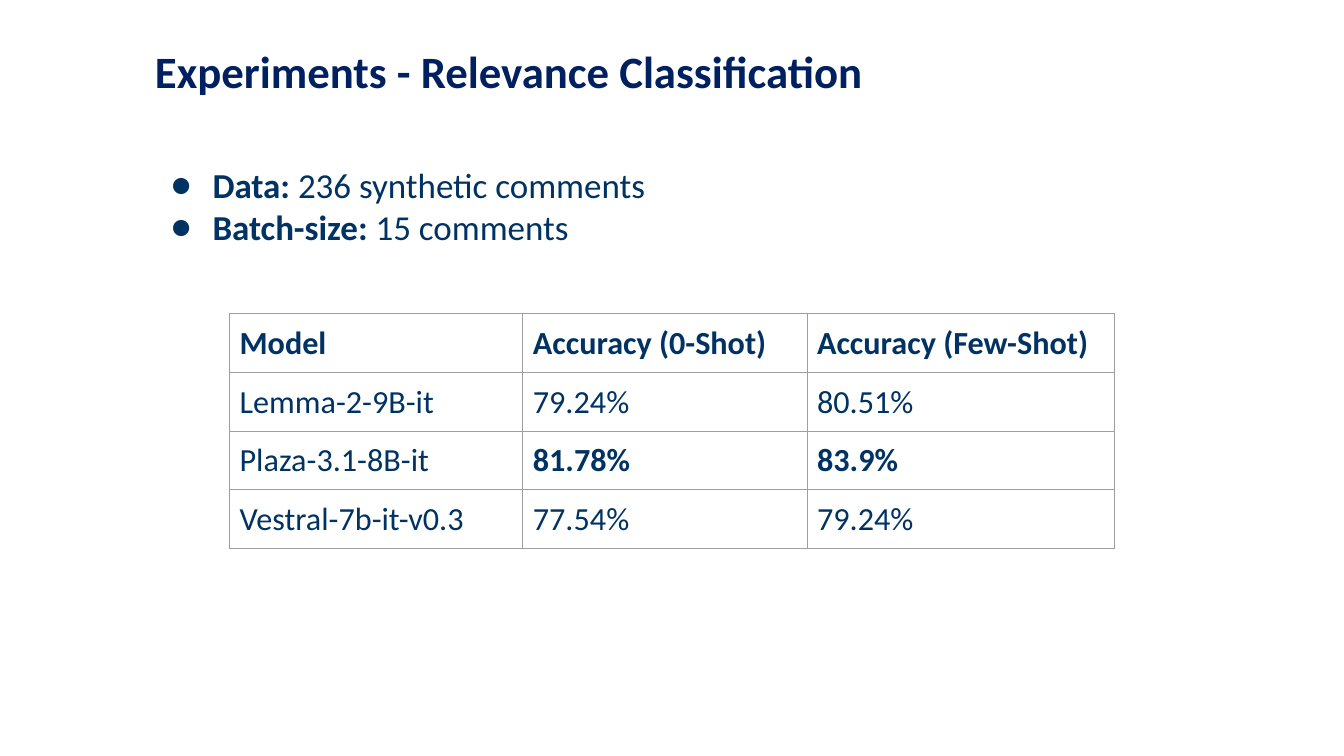
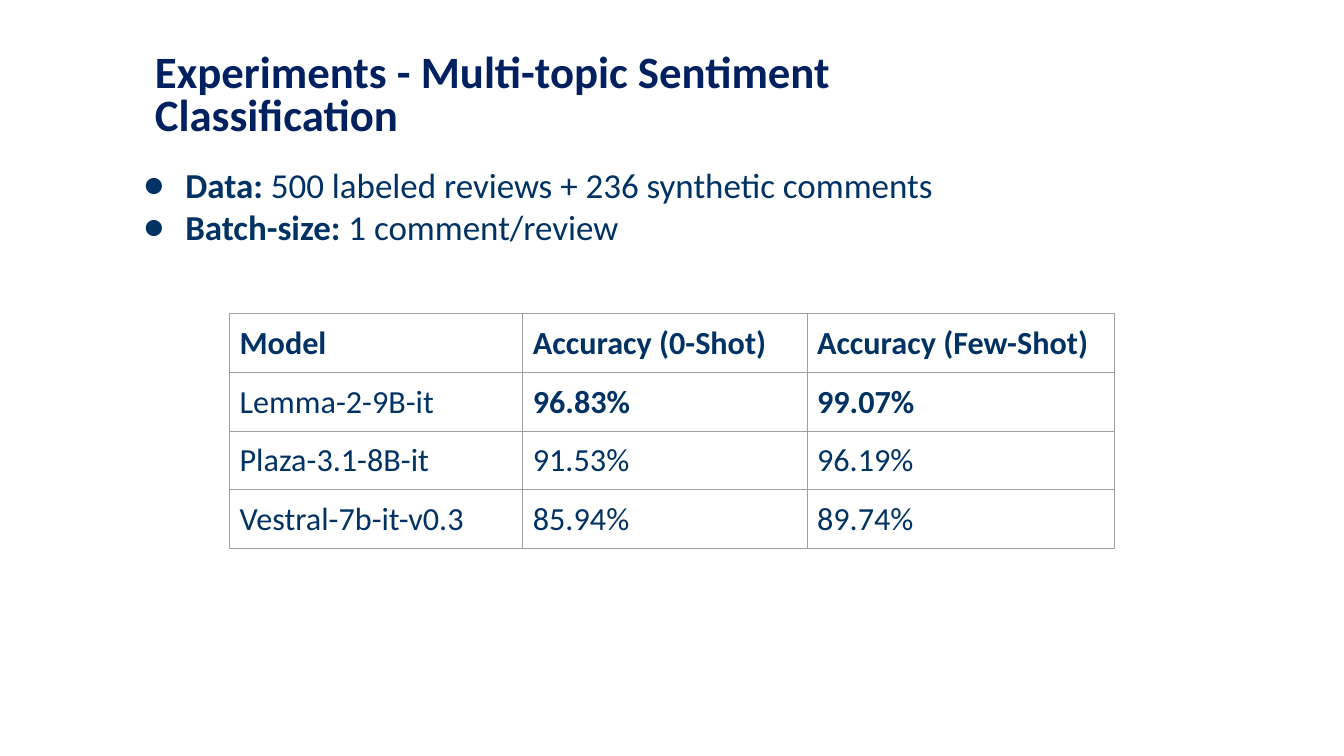
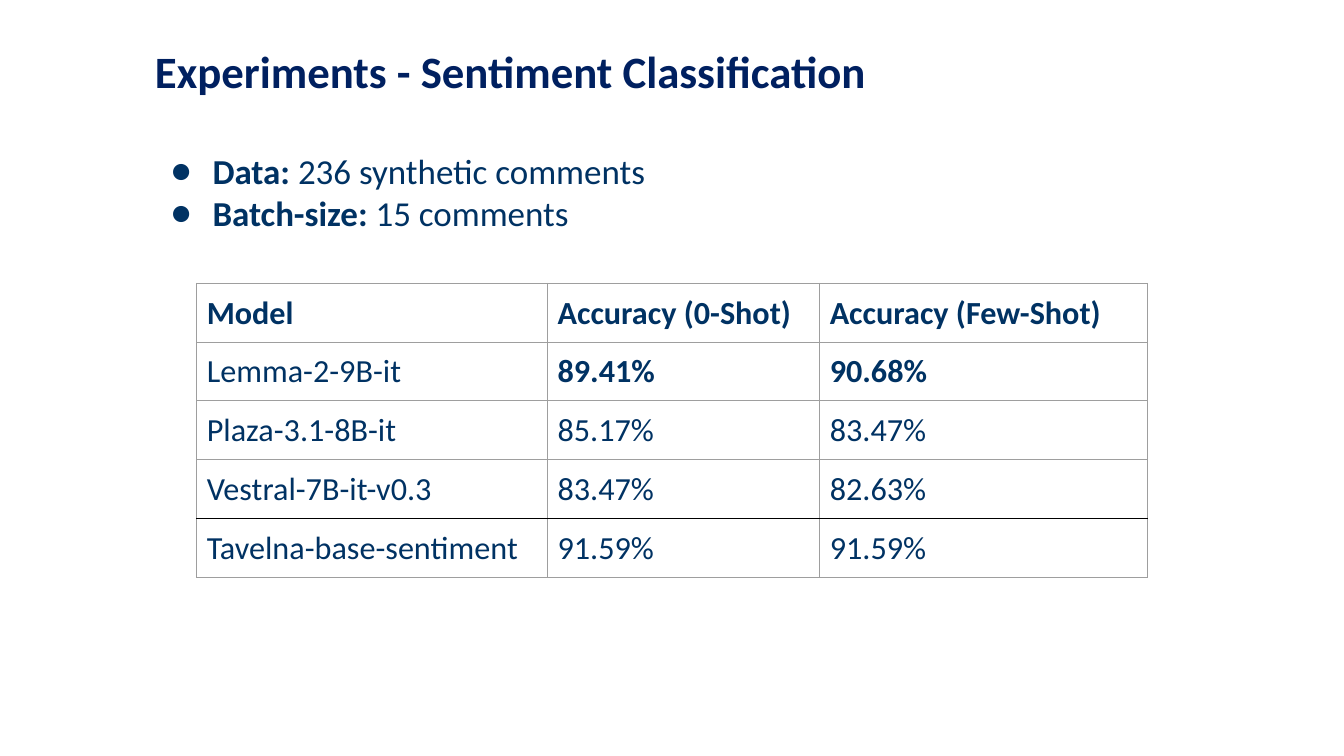
"""Build three slides that report accuracy tables for classification experiments."""
import dataclasses

import lxml.etree
import pptx
import pptx.dml.color
import pptx.enum.text
import pptx.oxml.ns
import pptx.util

Pt = pptx.util.Pt


@dataclasses.dataclass(frozen=True)
class Theme:
    font: str = "Calibri"
    title_color: str = "002060"
    body_color: str = "003263"
    grid_color: str = "9E9E9E"
    rule_color: str = "000000"
    title_size: float = 32
    bullet_size: float = 25
    table_size: float = 23
    grid_width: float = 0.75
    rule_width: float = 1
    slide_width: float = 960
    slide_height: float = 540
    row_height: float = 42
    cell_margin: float = 7.2


def set_all(target, values):
    for name, value in values.items():
        setattr(target, name, value)


def add_xml(parent, tag, **attributes):
    return lxml.etree.SubElement(parent, pptx.oxml.ns.qn(tag), attributes)


class Deck:
    def __init__(self, theme):
        self.theme = theme
        self.presentation = pptx.Presentation()
        self.presentation.slide_width = Pt(theme.slide_width)
        self.presentation.slide_height = Pt(theme.slide_height)
        self.slide = None

    def add_slide(self):
        self.slide = self.presentation.slides.add_slide(self.presentation.slide_layouts[6])

    def add_run(self, paragraph, text, size, color, bold):
        run = paragraph.add_run()
        run.text = text
        set_all(run.font, {"name": self.theme.font, "size": Pt(size), "bold": bold})
        run.font.color.rgb = pptx.dml.color.RGBColor.from_string(color)

    def add_text_box(self, left, top, width, height, margin, count):
        shape = self.slide.shapes.add_textbox(Pt(left), Pt(top), Pt(width), Pt(height))
        frame = shape.text_frame
        set_all(frame, {
            "word_wrap": True,
            "auto_size": pptx.enum.text.MSO_AUTO_SIZE.SHAPE_TO_FIT_TEXT,
            "margin_left": Pt(margin),
            "margin_right": Pt(margin),
            "margin_top": Pt(margin),
            "margin_bottom": Pt(margin),
        })
        for _ in range(count - 1):
            frame.add_paragraph()
        return frame.paragraphs

    def add_title(self, lines):
        theme = self.theme
        height = 4 + 31 * len(lines)
        paragraphs = self.add_text_box(108.7, 36.7, 775, height, 2, len(lines))
        for paragraph, line in zip(paragraphs, lines):
            paragraph.line_spacing = 0.8
            self.add_run(paragraph, line, theme.title_size, theme.title_color, True)

    def add_bullets(self, left, top, items):
        theme = self.theme
        paragraphs = self.add_text_box(left, top, 650, 75, 7.2, len(items))
        for paragraph, (label, detail) in zip(paragraphs, items):
            properties = paragraph._p.get_or_add_pPr()
            for name, points in {"marL": 36, "indent": -30}.items():
                properties.set(name, str(Pt(points)))
            add_xml(add_xml(properties, "a:buClr"), "a:srgbClr", val=theme.body_color)
            add_xml(properties, "a:buFont", typeface=theme.font)
            add_xml(properties, "a:buChar", char="●")
            self.add_run(paragraph, f"{label}: ", theme.bullet_size, theme.body_color, True)
            self.add_run(paragraph, detail, theme.bullet_size, theme.body_color, False)

    def add_border(self, cell, side, color, width):
        line = add_xml(cell._tc.get_or_add_tcPr(), f"a:ln{side}", w=str(Pt(width)))
        add_xml(add_xml(line, "a:solidFill"), "a:srgbClr", val=color)

    def add_cell(self, cell, text, bold, ruled_sides):
        theme = self.theme
        margin = Pt(theme.cell_margin)
        set_all(cell, {"margin_left": margin, "margin_right": margin,
                       "margin_top": margin, "margin_bottom": margin})
        for side in "LRTB":
            if side in ruled_sides:
                self.add_border(cell, side, theme.rule_color, theme.rule_width)
            else:
                self.add_border(cell, side, theme.grid_color, theme.grid_width)
        cell.fill.background()
        paragraph = cell.text_frame.paragraphs[0]
        self.add_run(paragraph, text, theme.table_size, theme.body_color, bold)

    def add_table(self, top, widths, rows, best_row, rule_row=None):
        theme = self.theme
        left = (theme.slide_width - sum(widths)) / 2
        shape = self.slide.shapes.add_table(
            len(rows), len(widths), Pt(left), Pt(top),
            Pt(sum(widths)), Pt(theme.row_height * len(rows)))
        table = shape.table
        set_all(table, {"first_row": False, "horz_banding": False})
        for column, width in zip(table.columns, widths):
            column.width = Pt(width)
        for row_index, row in enumerate(rows):
            table.rows[row_index].height = Pt(theme.row_height)
            ruled_sides = ""
            if rule_row is not None:
                ruled_sides = {rule_row - 1: "B", rule_row: "T"}.get(row_index, "")
            for column_index, text in enumerate(row):
                bold = row_index == 0 or (row_index == best_row and column_index > 0)
                self.add_cell(table.cell(row_index, column_index), text, bold, ruled_sides)


HEADER = ("Model", "Accuracy (0-Shot)", "Accuracy (Few-Shot)")
SYNTHETIC_DATA = [("Data", "236 synthetic comments"), ("Batch-size", "15 comments")]
REVIEW_DATA = [
    ("Data", "500 labeled reviews + 236 synthetic comments"),
    ("Batch-size", "1 comment/review"),
]
NARROW = (209.5, 203, 219.6)
WIDE = (250.6, 194.4, 234)

EXPERIMENTS = [
    {
        "title": ["Experiments - Relevance Classification"],
        "bullets": {"left": 108.7, "top": 109.8, "items": SYNTHETIC_DATA},
        "table": {"top": 223.9, "widths": NARROW, "best_row": 2, "rows": [
            HEADER,
            ("Lemma-2-9B-it", "79.24%", "80.51%"),
            ("Plaza-3.1-8B-it", "81.78%", "83.9%"),
            ("Vestral-7b-it-v0.3", "77.54%", "79.24%"),
        ]},
    },
    {
        "title": ["Experiments - Multi-topic Sentiment", "Classification"],
        "bullets": {"left": 89.3, "top": 109.8, "items": REVIEW_DATA},
        "table": {"top": 223.9, "widths": NARROW, "best_row": 1, "rows": [
            HEADER,
            ("Lemma-2-9B-it", "96.83%", "99.07%"),
            ("Plaza-3.1-8B-it", "91.53%", "96.19%"),
            ("Vestral-7b-it-v0.3", "85.94%", "89.74%"),
        ]},
    },
    {
        "title": ["Experiments - Sentiment Classification"],
        "bullets": {"left": 108.7, "top": 99.7, "items": SYNTHETIC_DATA},
        "table": {"top": 202.3, "widths": WIDE, "best_row": 1, "rule_row": 4, "rows": [
            HEADER,
            ("Lemma-2-9B-it", "89.41%", "90.68%"),
            ("Plaza-3.1-8B-it", "85.17%", "83.47%"),
            ("Vestral-7B-it-v0.3", "83.47%", "82.63%"),
            ("Tavelna-base-sentiment", "91.59%", "91.59%"),
        ]},
    },
]


def main():
    deck = Deck(Theme())
    for experiment in EXPERIMENTS:
        deck.add_slide()
        deck.add_title(experiment["title"])
        deck.add_bullets(**experiment["bullets"])
        deck.add_table(**experiment["table"])
    deck.presentation.save("out.pptx")


if __name__ == "__main__":
    main()
